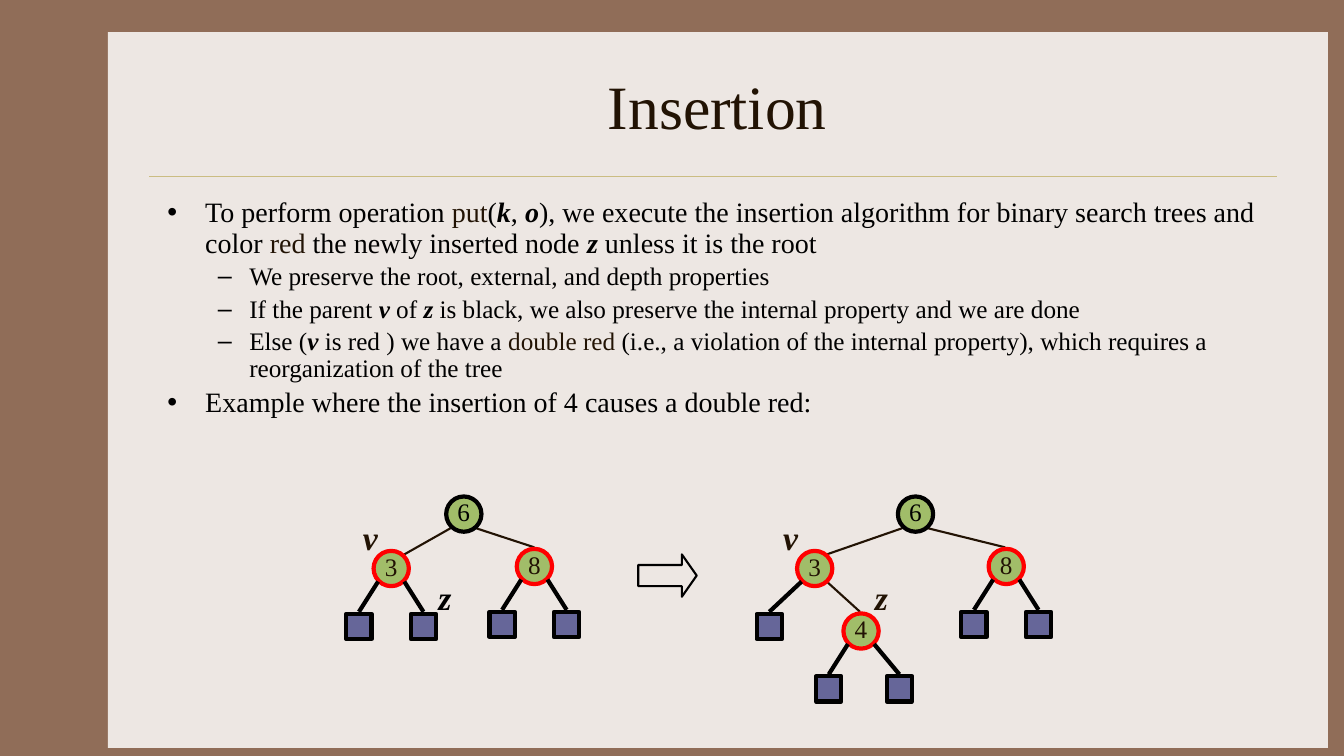
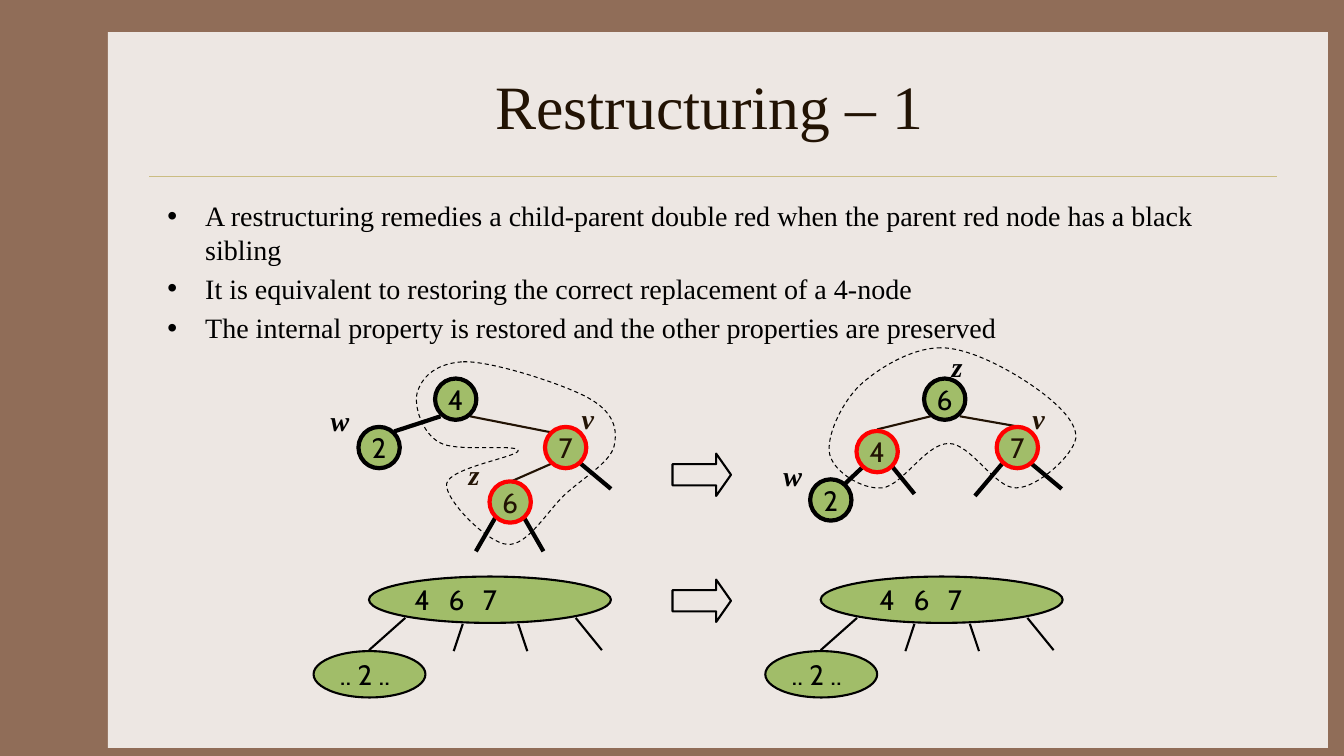
"""Build two slides on insertion and restructuring in red-black trees."""
from lxml import etree
from pptx import Presentation
from pptx.dml.color import RGBColor
from pptx.enum.dml import MSO_LINE
from pptx.enum.shapes import MSO_CONNECTOR, MSO_SHAPE
from pptx.enum.text import MSO_ANCHOR, PP_ALIGN
from pptx.oxml.ns import qn
from pptx.util import Inches, Pt

STRAIGHT = MSO_CONNECTOR.STRAIGHT
OVAL, RECTANGLE, ARROW = MSO_SHAPE.OVAL, MSO_SHAPE.RECTANGLE, MSO_SHAPE.RIGHT_ARROW
DASH = MSO_LINE.DASH
MIDDLE = MSO_ANCHOR.MIDDLE
LEFT, CENTER = PP_ALIGN.LEFT, PP_ALIGN.CENTER

FRAME = RGBColor(0x90, 0x6D, 0x58)
PAPER = RGBColor(0xED, 0xE7, 0xE3)
GOLD = RGBColor(0xCB, 0xBD, 0x83)
BROWN = RGBColor(0x22, 0x13, 0x04)
BLACK = RGBColor(0, 0, 0)
RED = RGBColor(0xFF, 0, 0)
GREEN = RGBColor(0xA1, 0xBD, 0x69)
SLATE = RGBColor(0x66, 0x66, 0x99)
SERIF, SANS = "Times New Roman", "Cabin"


def add_figure(slide, preset, box, fill, outline, width):
    shape = slide.shapes.add_shape(preset, *map(Inches, box))
    shape.shadow.inherit = False
    if fill is None:
        shape.fill.background()
    else:
        shape.fill.solid()
        shape.fill.fore_color.rgb = fill
    if outline is None:
        shape.line.fill.background()
    else:
        shape.line.color.rgb = outline
        shape.line.width = Pt(width)
    return shape


def add_line(slide, ends, color, width):
    line = slide.shapes.add_connector(STRAIGHT, *map(Inches, ends))
    line.line.color.rgb = color
    line.line.width = Pt(width)
    etree.SubElement(line.element.spPr, qn("a:effectLst"))
    return line


prs = Presentation()
prs.slide_width, prs.slide_height = Inches(13.33), Inches(7.5)
background = prs.slide_master.background.fill
background.solid()
background.fore_color.rgb = FRAME

layout = prs.slide_layouts[1]
for holder, top, height in zip(layout.placeholders, (0.42, 1.92), (1.25, 4.5)):
    holder.left, holder.top = Inches(1.56), Inches(top)
    holder.width, holder.height = Inches(11.11), Inches(height)

insertion = prs.slides.add_slide(layout)
restructuring = prs.slides.add_slide(layout)

panel = add_figure(insertion, RECTANGLE, (1.07, 0.32, 12.1, 7.1), PAPER, None, 0)
title_rule = add_line(insertion, (1.48, 1.75, 12.67, 1.75), GOLD, 0.25)
for position, part in enumerate((panel, title_rule)):
    part.element.xpath(".//p:cNvPr")[0].set("id", str(20 + position))
    layout.shapes.element.insert(2 + position, part.element)

PLAIN, VARIABLE, KEYWORD = range(3)
insertion_points = [
    (0, [("To perform operation ", PLAIN), ("put", KEYWORD), ("(", PLAIN),
         ("k", VARIABLE), (", ", PLAIN), ("o", VARIABLE),
         ("), we execute the insertion algorithm for binary search trees and color ", PLAIN),
         ("red", KEYWORD), (" the newly inserted node ", PLAIN), ("z ", VARIABLE),
         ("unless it is the root", PLAIN)]),
    (1, [("We preserve the root, external, and depth properties", PLAIN)]),
    (1, [("If the parent ", PLAIN), ("v", VARIABLE), (" of ", PLAIN), ("z", VARIABLE),
         (" is black, we also preserve the internal property and we are done", PLAIN)]),
    (1, [("Else (", PLAIN), ("v", VARIABLE), (" is red ) we have a ", PLAIN),
         ("double red", KEYWORD),
         (" (i.e., a violation of the internal property), which requires a "
          "reorganization of the tree", PLAIN)]),
    (0, [("Example where the insertion of 4 causes a double red:", PLAIN)]),
]
restructuring_points = [
    (0, [("A restructuring remedies a child-parent double red when the parent red node "
          "has a black sibling", PLAIN)]),
    (0, [("It is equivalent to restoring the correct replacement of a 4-node", PLAIN)]),
    (0, [("The internal property is restored and the other properties are preserved", PLAIN)]),
]
for slide, heading, points, spacing in (
    (insertion, "Insertion", insertion_points, 0.9),
    (restructuring, "Restructuring – 1 ", restructuring_points, 1.0),
):
    title = slide.shapes.title
    title.text = heading
    title_line = title.text_frame.paragraphs[0]
    title_line.font.name, title_line.font.size = SERIF, Pt(44)
    title_line.font.color.rgb = BROWN
    body = slide.placeholders[1].text_frame
    for index, (level, pieces) in enumerate(points):
        point = body.add_paragraph() if index else body.paragraphs[0]
        point.level = level
        point.line_spacing = spacing
        point.font.name, point.font.size = SERIF, Pt(18 if level else 20)
        point.font.color.rgb = BLACK
        for words, style in pieces:
            run = point.add_run()
            run.text = words
            if style == VARIABLE:
                run.font.bold = run.font.italic = True
            elif style == KEYWORD:
                run.font.color.rgb = BROWN

insertion_nodes = [
    ("6", 4.6, 5.1, BLACK, ()),
    ("3", 3.88, 5.64, RED, (-0.32, 0.32)),
    ("8", 5.3, 5.62, RED, (-0.32, 0.32)),
    ("6", 9.08, 5.1, BLACK, ()),
    ("3", 8.08, 5.64, RED, (-0.45,)),
    ("8", 9.98, 5.62, RED, (-0.32, 0.32)),
    ("4", 8.54, 6.26, RED, (-0.32, 0.38)),
]
restructuring_nodes = [
    ("4", 4.52, 3.96, BLACK, ()),
    ("2", 3.76, 4.44, BLACK, ()),
    ("7", 5.61, 4.44, RED, ()),
    ("6", 5.06, 4.98, RED, ()),
    ("6", 9.37, 3.96, BLACK, ()),
    ("4", 8.7, 4.48, RED, ()),
    ("7", 10.09, 4.44, RED, ()),
    ("2", 8.24, 4.96, BLACK, ()),
]
red_edges = [
    (insertion, [(5.3, 5.43, 4.72, 5.24), (4.01, 5.5, 4.47, 5.24),
                 (9.97, 5.43, 9.2, 5.24), (8.2, 5.5, 8.95, 5.24),
                 (8.53, 6.07, 8.2, 5.77)]),
    (restructuring, [(4.66, 4.13, 5.47, 4.29), (5.47, 4.6, 5.06, 4.78),
                     (8.7, 4.26, 9.23, 4.13), (10.09, 4.23, 9.52, 4.13)]),
]
black_edges = [
    (5.2, 5.14, 5.39, 5.47), (4.91, 5.14, 4.72, 5.47), (5.76, 4.6, 6.06, 4.85),
    (4.37, 4.13, 3.91, 4.28), (8.85, 4.63, 9.07, 4.9), (9.94, 4.6, 9.67, 4.92),
    (10.23, 4.6, 10.53, 4.85), (8.56, 4.63, 8.38, 4.8),
]
for slide, edges in red_edges:
    for ends in edges:
        add_line(slide, ends, BROWN, 1.5)
for ends in black_edges:
    add_line(restructuring, ends, BLACK, 3)

LEAF = 0.25
for slide, nodes, diameter, font, size, bottom in (
    (insertion, insertion_nodes, 0.35, SERIF, 18, 0.05),
    (restructuring, restructuring_nodes, 0.41, SANS, 20, 0),
):
    for key, x, y, outline, leaf_offsets in nodes:
        box = (x - diameter / 2, y - diameter / 2, diameter, diameter)
        node = add_figure(slide, OVAL, box, GREEN, outline, 3)
        frame = node.text_frame
        frame.word_wrap = False
        frame.vertical_anchor = MIDDLE
        frame.margin_left = frame.margin_right = frame.margin_top = 0
        frame.margin_bottom = Inches(bottom)
        label = frame.paragraphs[0]
        label.text = key
        label.alignment = CENTER
        label.font.name, label.font.size = font, Pt(size)
        label.font.color.rgb = BLACK if outline == BLACK else BROWN
        for offset in leaf_offsets:
            side = 0.13 if offset > 0 else -0.13
            add_line(slide, (x + offset, y + 0.43, x + side, y + 0.13), BLACK, 3)
            leaf_box = (x + offset - LEAF / 2, y + 0.45, LEAF, LEAF)
            add_figure(slide, RECTANGLE, leaf_box, SLATE, BLACK, 3)

TAB_STEP = 0.34
for shift, inset in ((0, 0.1), (4.48, 0.23)):
    for ends in ((4.02, 6.13, 3.66, 6.45), (5.71, 6.13, 5.97, 6.45),
                 (4.5, 6.46, 4.59, 6.19), (5.23, 6.46, 5.14, 6.19)):
        x1, y1, x2, y2 = ends
        add_line(restructuring, (x1 + shift, y1, x2 + shift, y2), BLACK, 1.5)
    for keys, x, y, width, margin in (
        ("4\t6\t7", 3.66, 5.72, 2.4, inset),
        (".. 2 ..", 3.11, 6.46, 1.11, 0.1),
    ):
        box = (x + shift, y, width, 0.46)
        multi_node = add_figure(restructuring, OVAL, box, GREEN, BLACK, 1.5)
        frame = multi_node.text_frame
        frame.word_wrap = "\t" in keys
        frame.vertical_anchor = MIDDLE
        frame.margin_left = Inches(margin)
        label = frame.paragraphs[0]
        label.text = keys
        label.alignment = LEFT
        if "\t" in keys:
            tabs = etree.SubElement(label._p.get_or_add_pPr(), qn("a:tabLst"))
            for step in (1, 2):
                etree.SubElement(tabs, qn("a:tab"), pos=str(Inches(step * TAB_STEP)), algn="l")
        label.font.name, label.font.size = SANS, Pt(20)
        label.font.color.rgb = BLACK

for slide, size, names in (
    (insertion, 24, [("z", 4.25, 5.67, BLACK), ("v", 3.5, 5.08, BROWN),
                     ("v", 7.67, 5.08, BROWN), ("z", 8.58, 5.67, BROWN)]),
    (restructuring, 20, [("z", 4.55, 4.49, BROWN), ("v", 5.67, 3.93, BROWN),
                         ("w", 3.18, 3.95, BLACK), ("z", 9.34, 3.42, BLACK),
                         ("v", 10.14, 3.93, BROWN), ("w", 7.67, 4.5, BLACK)]),
):
    for name, x, y, color in names:
        width = 0.55 if name == "w" else 0.4
        tag = slide.shapes.add_textbox(Inches(x), Inches(y), Inches(width), Inches(0.45))
        tag.text_frame.word_wrap = True
        label = tag.text_frame.paragraphs[0]
        label.text = name
        label.font.name, label.font.size = SERIF, Pt(size)
        label.font.bold = label.font.italic = True
        label.font.color.rgb = color

for slide, x, y in ((insertion, 6.33, 5.5), (restructuring, 6.67, 4.5),
                    (restructuring, 6.67, 5.75)):
    arrow = add_figure(slide, ARROW, (x, y, 0.58, 0.42), None, BLACK, 1.5)
    arrow.adjustments[0], arrow.adjustments[1] = 0.5, 0.35

double_red_loop = [
    (4.58, 3.59), (4.3, 3.61), (4.18, 3.76), (4.14, 3.89), (4.1, 4.03), (4.19, 4.3),
    (4.36, 4.39), (4.52, 4.49), (5.13, 4.4), (5.14, 4.47), (5.15, 4.53), (4.45, 4.64),
    (4.43, 4.8), (4.41, 4.96), (4.84, 5.39), (5.03, 5.4), (5.23, 5.42), (5.42, 5.08),
    (5.6, 4.91), (5.77, 4.75), (6.05, 4.59), (6.09, 4.43), (6.13, 4.26), (6.09, 4.09),
    (5.84, 3.95), (5.59, 3.81), (4.85, 3.57), (4.58, 3.59),
]
restored_loop = [
    (9.33, 3.45), (9.04, 3.45), (8.7, 3.66), (8.52, 3.83), (8.34, 4.01), (8.19, 4.34),
    (8.23, 4.51), (8.27, 4.68), (8.55, 4.86), (8.75, 4.84), (8.95, 4.82), (9.18, 4.4),
    (9.41, 4.4), (9.63, 4.4), (9.87, 4.85), (10.08, 4.84), (10.29, 4.84), (10.64, 4.52),
    (10.67, 4.35), (10.69, 4.18), (10.45, 3.97), (10.23, 3.82), (10.01, 3.67), (9.62, 3.45),
    (9.33, 3.45),
]
for loop in (double_red_loop, restored_loop):
    start, *controls = [(Inches(x), Inches(y)) for x, y in loop]
    builder = restructuring.shapes.build_freeform(*start)
    builder.add_line_segments(controls, close=True)
    outline = builder.convert_to_shape()
    outline.shadow.inherit = False
    outline.fill.background()
    outline.line.color.rgb = BLACK
    outline.line.width = Pt(0.75)
    outline.line.dash_style = DASH
    segments = outline.element.xpath(".//a:lnTo")
    for first in range(0, len(segments), 3):
        curve = etree.Element(qn("a:cubicBezTo"))
        segments[first].addprevious(curve)
        for segment in segments[first:first + 3]:
            curve.append(segment[0])
            segment.getparent().remove(segment)

prs.save("out.pptx")
